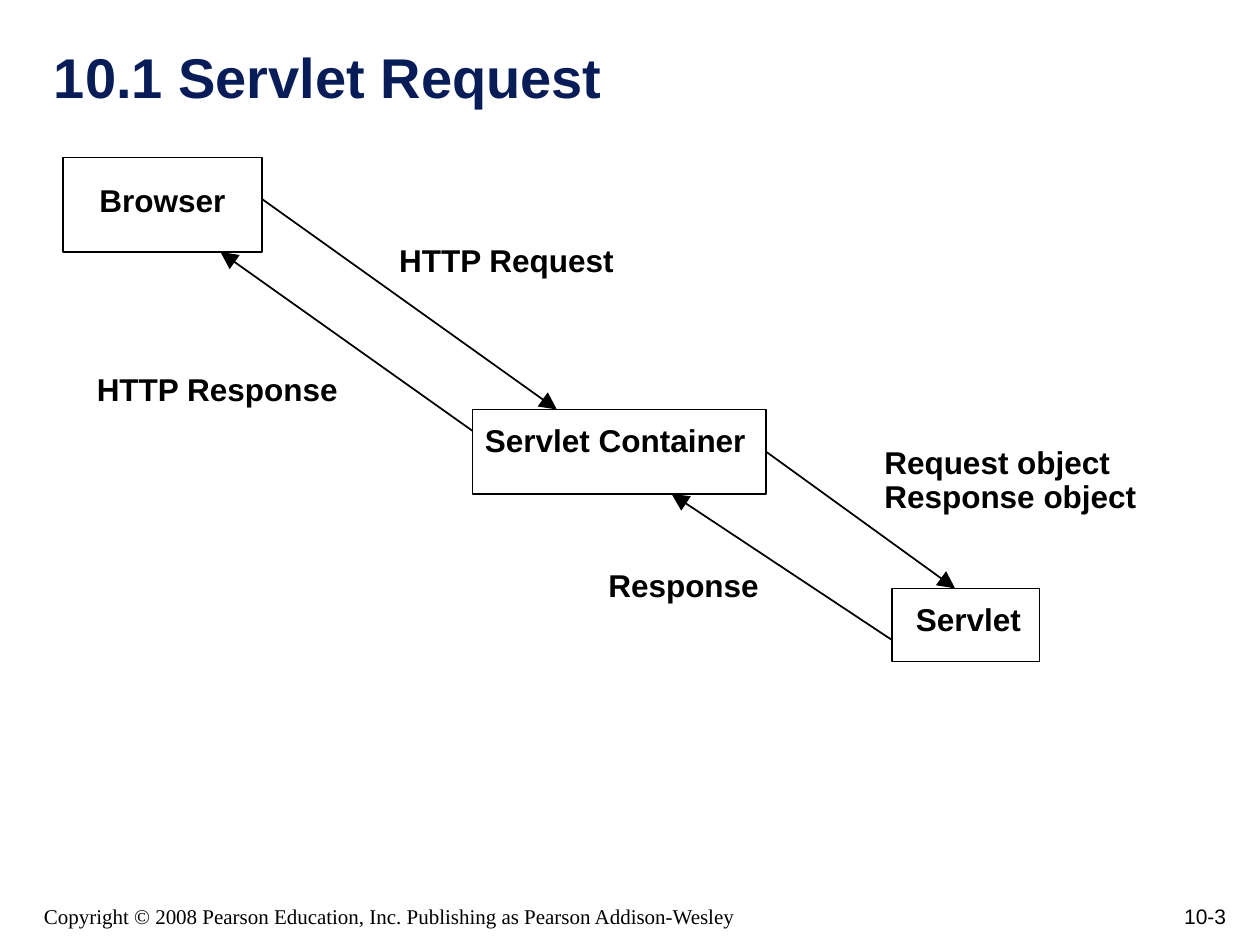
import pptx
import pptx.dml.color
import pptx.enum.shapes
import pptx.enum.text
import pptx.oxml
import pptx.oxml.ns
import pptx.util
from pptx.util import Inches

COLORS = {"ink": "000000", "title": "081D58"}

BOXES = {
    "browser": (0.5, 1.25, 1.58, 0.75),
    "container": (3.75, 3.25, 2.33, 0.67),
    "servlet": (7.08, 4.67, 1.17, 0.58),
}
LABELS = [
    ("Browser", 0.69, 1.42, 1.25, 0.37),
    ("Servlet Container", 3.75, 3.33, 2.32, 0.37),
    ("Servlet", 7.17, 4.75, 1.08, 0.37),
    ("HTTP Request", 3.07, 1.9, 1.96, 0.37),
    ("HTTP Response", 0.67, 2.92, 2.16, 0.37),
    ("Request object\nResponse object", 6.92, 3.5, 2.25, 0.64),
    ("Response", 4.73, 4.48, 1.44, 0.37),
]


def rgb(name):
    return pptx.dml.color.RGBColor.from_string(COLORS[name])


def add_text(slide, text, x, y, w, h, size=18, font="Arial", color="ink", bold=False):
    sp = slide.shapes.add_textbox(Inches(x), Inches(y), Inches(w), Inches(h))
    tf = sp.text_frame
    tf.word_wrap = True
    tf.vertical_anchor = pptx.enum.text.MSO_ANCHOR.BOTTOM
    tf.text = text
    for p in tf.paragraphs:
        for r in p.runs:
            r.font.size = pptx.util.Pt(size)
            r.font.name = font
            r.font.bold = bold
            r.font.color.rgb = rgb(color)
    return tf


def add_label(slide, text, x, y, w, h):
    tf = add_text(slide, text, x, y, w, h, bold=True)
    tf.word_wrap = False
    tf.vertical_anchor = pptx.enum.text.MSO_ANCHOR.TOP
    for p in tf.paragraphs:
        p.alignment = pptx.enum.text.PP_ALIGN.LEFT
        p.line_spacing = 0.9


def add_box(slide, x, y, w, h):
    sp = slide.shapes.add_shape(
        pptx.enum.shapes.MSO_SHAPE.RECTANGLE, Inches(x), Inches(y), Inches(w), Inches(h)
    )
    sp.shadow.inherit = False
    sp.fill.background()
    sp.line.color.rgb = rgb("ink")
    sp.line.width = pptx.util.Pt(1)
    return sp


def add_arrow(slide, x1, y1, x2, y2):
    line = slide.shapes.add_connector(
        pptx.enum.shapes.MSO_CONNECTOR.STRAIGHT,
        Inches(x1), Inches(y1), Inches(x2), Inches(y2),
    )
    line.line.color.rgb = rgb("ink")
    line.line.width = pptx.util.Pt(1)
    ns = pptx.oxml.ns.nsdecls("a")
    properties = line._element.spPr
    properties.find(pptx.oxml.ns.qn("a:ln")).append(
        pptx.oxml.parse_xml(f'<a:tailEnd {ns} type="triangle" w="lg" len="lg"/>')
    )
    properties.append(pptx.oxml.parse_xml(f"<a:effectLst {ns}/>"))
    return line


def main():
    """Build the servlet request slide."""
    prs = pptx.Presentation()
    prs.slide_width, prs.slide_height = Inches(10), Inches(7.5)
    slide = prs.slides.add_slide(prs.slide_layouts[6])

    add_text(slide, "10.1 Servlet Request", 0.33, 0.33, 9.42, 0.59,
             size=32, color="title", bold=True)

    boxes = {name: add_box(slide, *place) for name, place in BOXES.items()}
    for label in LABELS:
        add_label(slide, *label)

    add_arrow(slide, 2.08, 1.58, 4.42, 3.25)
    add_arrow(slide, 3.75, 3.42, 1.75, 2)
    forward = add_arrow(slide, 6.08, 3.58, 7.58, 4.67)
    forward.begin_connect(boxes["container"], 3)
    add_arrow(slide, 7.08, 5.08, 5.33, 3.92)

    add_text(slide,
             "Copyright © 2008 Pearson Education, Inc. Publishing as Pearson Addison-Wesley",
             0.25, 7, 6.08, 0.42, size=12, font="Times New Roman")
    number = add_text(slide, "10-3", 7.75, 6.92, 2.08, 0.5, size=12)
    number.paragraphs[0].alignment = pptx.enum.text.PP_ALIGN.RIGHT

    prs.save("out.pptx")


if __name__ == "__main__":
    main()
